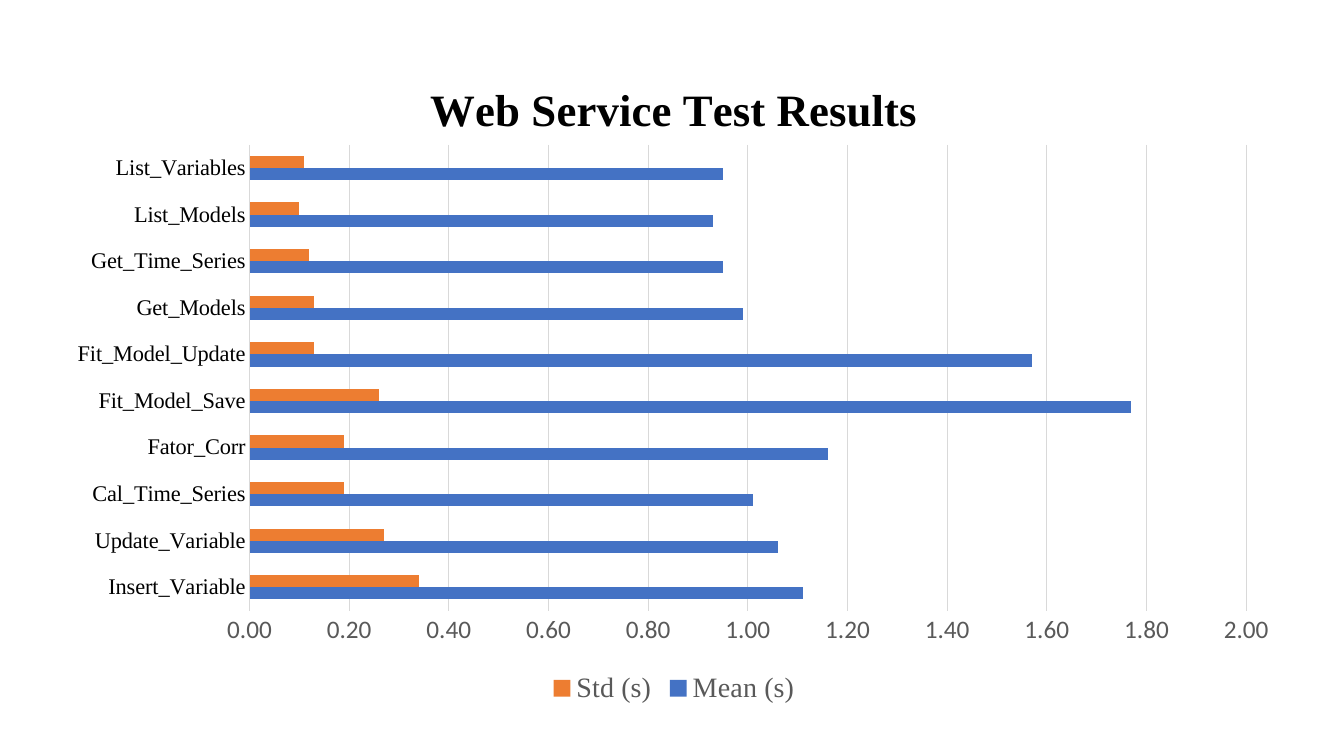
from lxml import etree
from pptx import Presentation
from pptx.chart.data import CategoryChartData
from pptx.dml.color import RGBColor
from pptx.enum.chart import XL_CHART_TYPE, XL_LEGEND_POSITION, XL_TICK_MARK
from pptx.util import Inches, Pt

BAR = XL_CHART_TYPE.BAR_CLUSTERED
BOTTOM = XL_LEGEND_POSITION.BOTTOM
NO_TICK = XL_TICK_MARK.NONE
SERIF, SANS = "Times New Roman", "Calibri"
COLORS = {"black": "000000", "gray": "595959", "grid": "D9D9D9",
          "Mean (s)": "4472C4", "Std (s)": "ED7D31"}
NS = "http://schemas.openxmlformats.org/drawingml/2006/chart"


def color(name):
    return RGBColor.from_string(COLORS[name])


def style(font, face, size, name, bold=False):
    font.name = face
    font.size = Pt(size)
    font.bold = bold
    font.color.rgb = color(name)


tests = [
    ("Insert_Variable", 1.11, 0.34),
    ("Update_Variable", 1.06, 0.27),
    ("Cal_Time_Series", 1.01, 0.19),
    ("Fator_Corr", 1.16, 0.19),
    ("Fit_Model_Save", 1.77, 0.26),
    ("Fit_Model_Update", 1.57, 0.13),
    ("Get_Models", 0.99, 0.13),
    ("Get_Time_Series", 0.95, 0.12),
    ("List_Models", 0.93, 0.10),
    ("List_Variables", 0.95, 0.11),
]
names, means, stds = zip(*tests)

prs = Presentation()
prs.slide_width, prs.slide_height = Inches(13.33), Inches(7.5)
slide = prs.slides.add_slide(prs.slide_layouts[6])

data = CategoryChartData(number_format="0.00")
data.categories = names
data.add_series("Mean (s)", means)
data.add_series("Std (s)", stds)
chart = slide.shapes.add_chart(
    BAR, Inches(0.53), Inches(0.54), Inches(12.31), Inches(6.5), data).chart
style(chart.font, SANS, 10, "black")

chart.has_title = True
title = chart.chart_title
title.include_in_layout = False
title.text_frame.text = "Web Service Test Results"
style(title.text_frame.paragraphs[0].runs[0].font, SERIF, 32, "black", True)

plot = chart.plots[0]
plot.gap_width = 182
plot.overlap = 0
plot.vary_by_categories = False
for series in plot.series:
    series.format.fill.solid()
    series.format.fill.fore_color.rgb = color(series.name)

tests_axis = chart.category_axis
style(tests_axis.tick_labels.font, SERIF, 16, "black")
time_axis = chart.value_axis
style(time_axis.tick_labels.font, SANS, 18, "gray")
time_axis.tick_labels.number_format = "0.00"
time_axis.tick_labels.number_format_is_linked = False
time_axis.minimum_scale, time_axis.maximum_scale = 0, 2
time_axis.major_unit = 0.2
time_axis.has_major_gridlines = True
time_axis.format.line.fill.background()
for axis in (tests_axis, time_axis):
    axis.major_tick_mark = axis.minor_tick_mark = NO_TICK
for line in (tests_axis.format.line, time_axis.major_gridlines.format.line):
    line.color.rgb = color("grid")
    line.width = Pt(0.75)

chart.has_legend = True
chart.legend.position = BOTTOM
chart.legend.include_in_layout = False
style(chart.legend.font, SERIF, 20, "gray")

area = chart.element.find(f".//{{{NS}}}plotArea")
for old in area.findall(f"{{{NS}}}layout"):
    area.remove(old)
layout = etree.Element(f"{{{NS}}}layout")
manual = etree.SubElement(layout, f"{{{NS}}}manualLayout")
for tag, val in (("layoutTarget", "inner"), ("xMode", "edge"), ("yMode", "edge"),
                 ("x", 0.158), ("y", 0.138), ("w", 0.803), ("h", 0.711)):
    etree.SubElement(manual, f"{{{NS}}}{tag}", val=str(val))
area.insert(0, layout)

prs.save("out.pptx")
